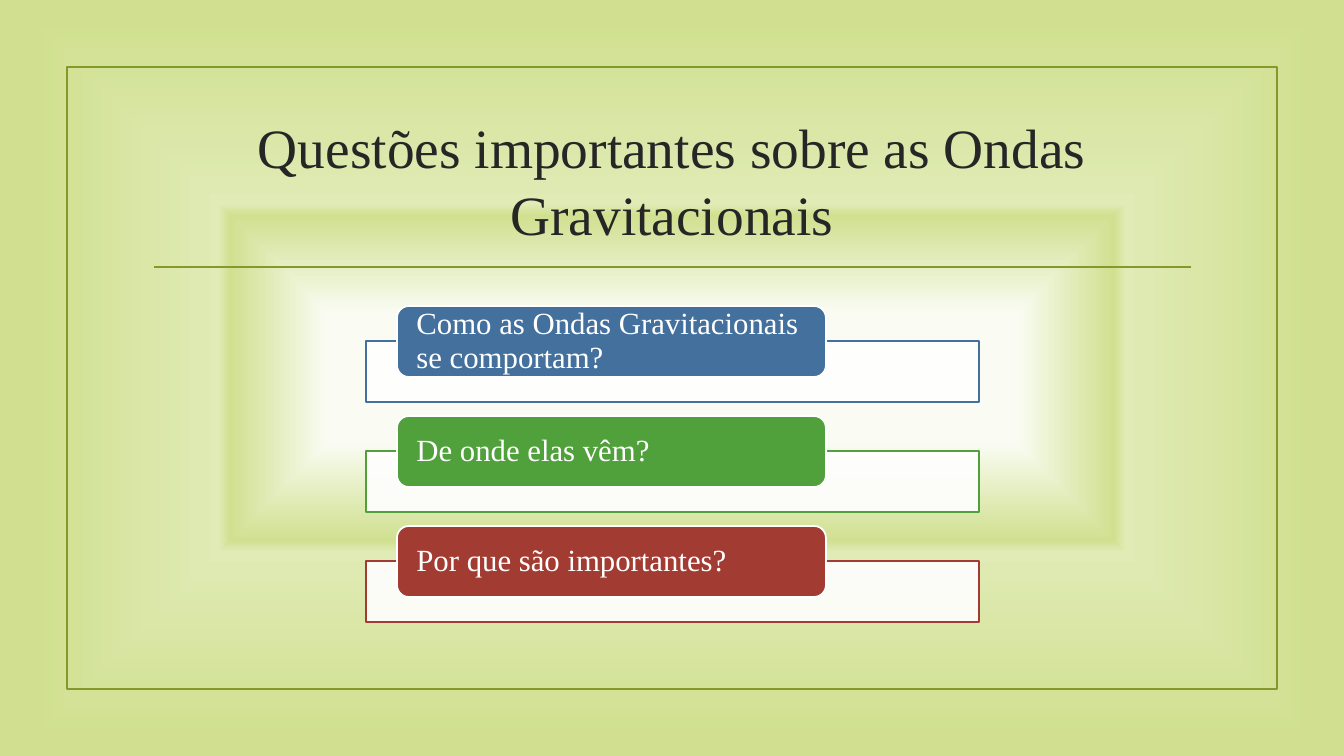
"""Build a slide of three key questions about gravitational waves."""
from lxml import etree
from pptx import Presentation
from pptx import util as u
from pptx.dml.color import RGBColor
from pptx.enum import shapes, text
from pptx.oxml import parse_xml
from pptx.oxml.ns import nsdecls, qn

TITLE = "Questões importantes sobre as Ondas Gravitacionais"
OLIVE = RGBColor(0x83, 0x99, 0x2A)
DARK = RGBColor(0x26, 0x26, 0x26)
WHITE = RGBColor(0xFF, 0xFF, 0xFF)
BLUE = RGBColor(0x44, 0x70, 0x9D)
GREEN = RGBColor(0x50, 0xA0, 0x3B)
RED = RGBColor(0xA2, 0x3C, 0x33)
QUESTIONS = [
    ("Como as Ondas Gravitacionais se comportam?", BLUE),
    ("De onde elas vêm?", GREEN),
    ("Por que são importantes?", RED),
]
GLOW = [
    (17, RGBColor(0xFA, 0xFC, 0xF3)),
    (43, RGBColor(0xD0, 0xE0, 0x90)),
    (46, RGBColor(0xE0, 0xEB, 0xB5)),
    (95, RGBColor(0xD0, 0xE0, 0x90)),
]
FONT = "Times New Roman"
WIDTH, HEIGHT = 1344, 756
FRAME = (67, 67, 1210, 622)
RULE = (154, 267, 1191, 267)
TITLE_BOX = (143, 108, 1058, 144)
PANEL = (366, 341, 613, 61)
LABEL = (397, 306, 429, 71)
ROW_STEP = 110
LABEL_INSET = 16


def px(length):
    return u.Emu(round(length * 914400 / 100.8))


def box(slide, kind, place, line, fill=None):
    shape = slide.shapes.add_shape(kind, *map(px, place))
    shape.shadow.inherit = False
    shape.line.color.rgb = line
    shape.line.width = u.Pt(1.25)
    if fill is None:
        shape.fill.background()
    else:
        shape.fill.solid()
        shape.fill.fore_color.rgb = fill
    return shape


def write(shape, words, size, color, align):
    frame = shape.text_frame
    frame.word_wrap = True
    frame.vertical_anchor = text.MSO_ANCHOR.MIDDLE
    paragraph = frame.paragraphs[0]
    paragraph.text = words
    paragraph.alignment = align
    paragraph.font.name = FONT
    paragraph.font.size = u.Pt(size)
    paragraph.font.color.rgb = color
    return frame


def paint_background(slide):
    slide.background.fill.gradient()
    default = slide.element.find(".//" + qn("a:gradFill"))
    stops = "".join(
        f'<a:gs pos="{at * 1000}"><a:srgbClr val="{color}"/></a:gs>'
        for at, color in GLOW
    )
    glow = parse_xml(
        f'<a:gradFill {nsdecls("a")} rotWithShape="1"><a:gsLst>{stops}</a:gsLst>'
        '<a:path path="shape"><a:fillToRect l="50000" t="50000" r="50000" b="50000"/>'
        "</a:path></a:gradFill>"
    )
    default.getparent().replace(default, glow)


def add_question(slide, row, words, color):
    drop = row * ROW_STEP
    left, top, width, height = PANEL
    panel = box(slide, shapes.MSO_SHAPE.RECTANGLE,
                (left, top + drop, width, height), color, WHITE)
    tint = panel.element.spPr.find(qn("a:solidFill"))[0]
    etree.SubElement(tint, qn("a:alpha"), val="90000")

    left, top, width, height = LABEL
    label = box(slide, shapes.MSO_SHAPE.ROUNDED_RECTANGLE,
                (left, top + drop, width, height), WHITE, color)
    frame = write(label, words, 22, WHITE, text.PP_ALIGN.LEFT)
    frame.margin_left = frame.margin_right = px(LABEL_INSET)
    frame.margin_top = frame.margin_bottom = 0
    frame.paragraphs[0].line_spacing = 0.9


def main():
    presentation = Presentation()
    presentation.slide_width, presentation.slide_height = px(WIDTH), px(HEIGHT)
    slide = presentation.slides.add_slide(presentation.slide_layouts[6])
    paint_background(slide)
    box(slide, shapes.MSO_SHAPE.RECTANGLE, FRAME, OLIVE)

    rule = slide.shapes.add_connector(shapes.MSO_CONNECTOR.STRAIGHT, *map(px, RULE))
    rule.line.color.rgb = OLIVE
    rule.line.width = u.Pt(1.25)
    etree.SubElement(rule.element.spPr, qn("a:effectLst"))

    title = slide.shapes.add_textbox(*map(px, TITLE_BOX))
    write(title, TITLE, 39.6, DARK, text.PP_ALIGN.CENTER)

    for row, (words, color) in enumerate(QUESTIONS):
        add_question(slide, row, words, color)
    presentation.save("out.pptx")


if __name__ == "__main__":
    main()
